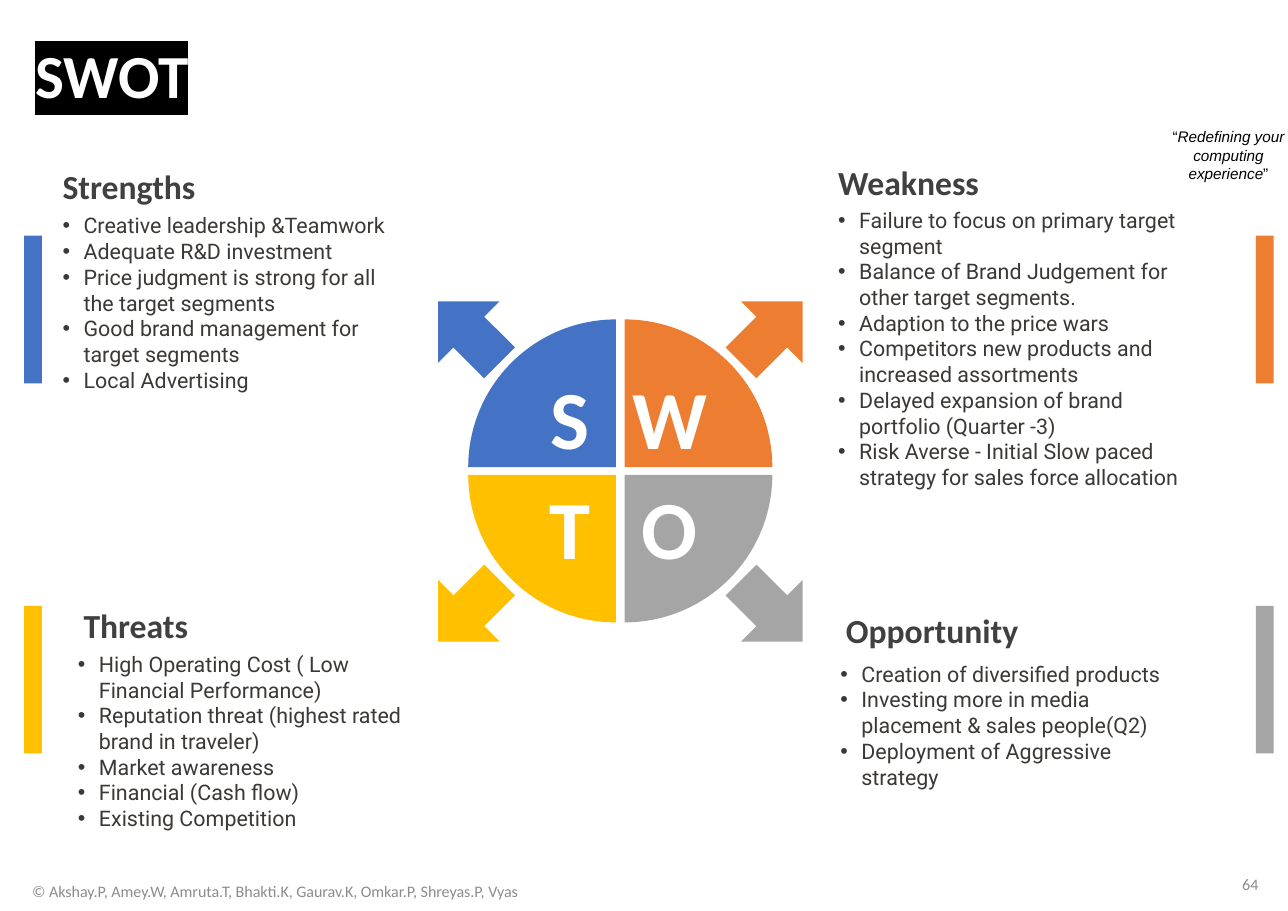
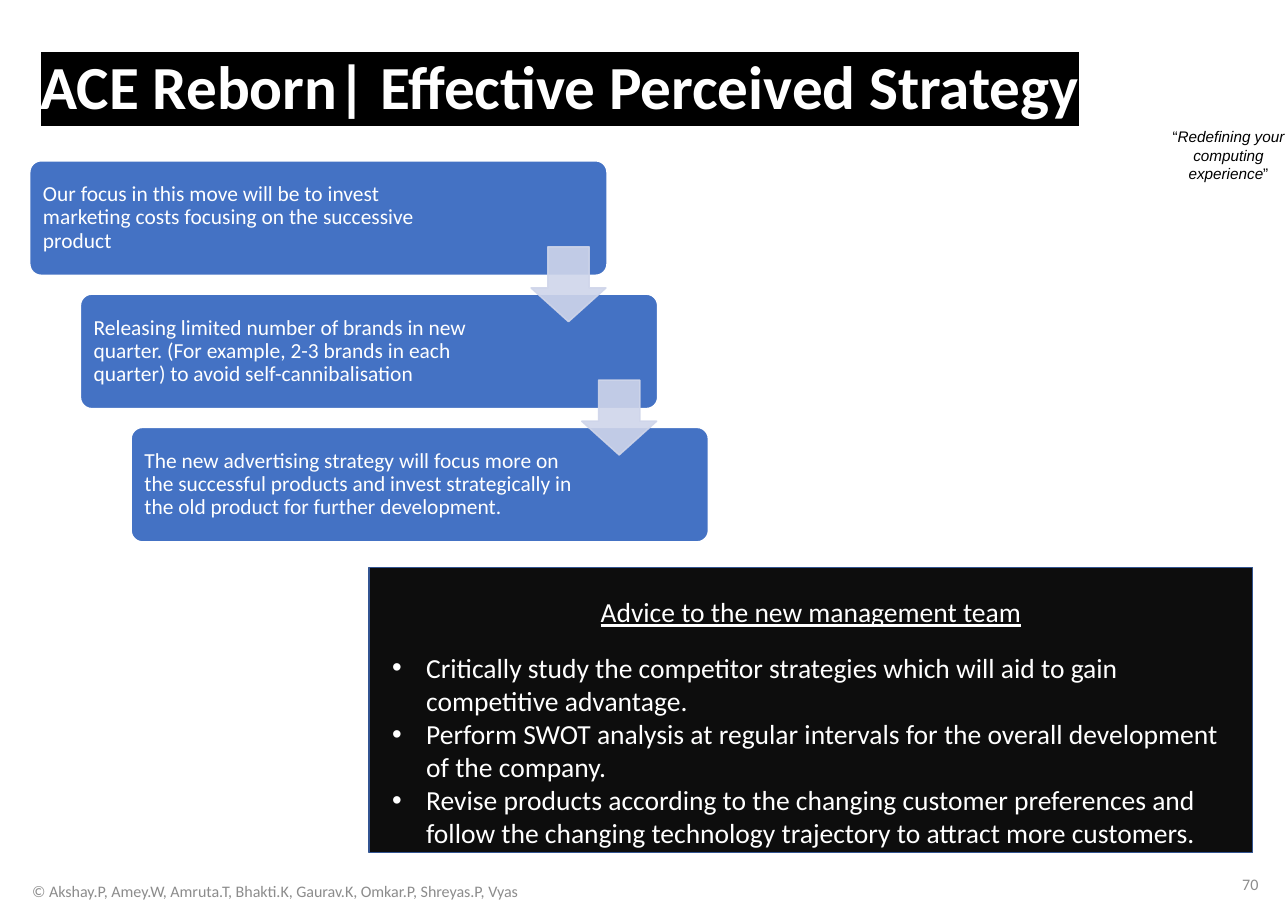
from dataclasses import dataclass

from lxml import etree
from pptx import Presentation
from pptx.dml.color import RGBColor
from pptx.enum.shapes import MSO_SHAPE
from pptx.enum.text import MSO_ANCHOR, PP_ALIGN
from pptx.oxml.ns import qn
from pptx.util import Emu, Inches, Pt

RECTANGLE, ROUNDED = MSO_SHAPE.RECTANGLE, MSO_SHAPE.ROUNDED_RECTANGLE
WEDGE, ARROW = MSO_SHAPE.PIE_WEDGE, MSO_SHAPE.DOWN_ARROW
TOP, MIDDLE = MSO_ANCHOR.TOP, MSO_ANCHOR.MIDDLE
LEFT, CENTER, RIGHT = PP_ALIGN.LEFT, PP_ALIGN.CENTER, PP_ALIGN.RIGHT


@dataclass(frozen=True)
class Theme:
    sans: str = "Calibri"
    body: str = "Roboto"
    tagline: str = "Arial"
    black: str = "000000"
    white: str = "FFFFFF"
    heading: str = "404040"
    ink: str = "3B3835"
    muted: str = "8C8C8C"
    blue: str = "4472C4"
    orange: str = "ED7D31"
    gray: str = "A5A5A5"
    gold: str = "FFC000"
    pale: str = "CFD5EA"
    panel: str = "0D0D0D"
    panel_edge: str = "325491"
    title_size: float = 40
    letter_size: float = 54
    heading_size: float = 22
    advice_size: float = 18
    body_size: float = 14
    footer_size: float = 10.5
    tagline_size: float = 10


THEME = Theme()
WIDTH, HEIGHT = 11.69, 8.27
INSET = (0.1, 0.05, 0.1, 0.05)

TAGLINE = [("“", False), ("Redefining your computing experience", True), ("”", False)]
COPYRIGHT = "© Akshay.P, Amey.W, Amruta.T, Bhakti.K, Gaurav.K, Omkar.P, Shreyas.P, Vyas"

# Clockwise from top left: letter, heading, colour, heading corner, list corner, points
QUADRANTS = [
    ("S", "Strengths", THEME.blue, (0.47, 1.46), (0.47, 1.88), [
        "Creative leadership &Teamwork",
        "Adequate R&D investment",
        "Price judgment is strong for all the target segments",
        "Good brand management for target segments",
        "Local Advertising",
    ]),
    ("W", "Weakness", THEME.orange, (7.51, 1.42), (7.51, 1.83), [
        "Failure to focus on primary target segment",
        "Balance of Brand Judgement for other target segments.",
        "Adaption to the price wars",
        "Competitors new products and increased assortments",
        "Delayed expansion of brand portfolio (Quarter -3)",
        "Risk Averse - Initial Slow paced strategy for sales force allocation",
    ]),
    ("O", "Opportunity", THEME.gray, (7.58, 5.49), (7.53, 5.95), [
        "Creation of diversified products",
        "Investing more in media placement & sales people(Q2)",
        "Deployment of Aggressive strategy",
    ]),
    ("T", "Threats", THEME.gold, (0.66, 5.44), (0.61, 5.86), [
        "High Operating Cost ( Low Financial Performance)",
        "Reputation threat (highest rated brand in traveler)",
        "Market awareness",
        "Financial (Cash flow)",
        "Existing Competition",
    ]),
]

STEPS = [
    "Our focus in this move will be to invest marketing costs focusing on the successive product",
    "Releasing limited number of brands in new quarter. (For example, 2-3 brands in each "
    "quarter) to avoid self-cannibalisation",
    "The new advertising strategy will focus more on the successful products and invest "
    "strategically in the old product for further development.",
]
ADVICE_HEADING = "Advice to the new management team"
ADVICE = [
    "Critically study the competitor strategies which will aid to gain competitive advantage.",
    "Perform SWOT analysis at regular intervals for the overall development of the company.",
    "Revise products according to the changing customer preferences and follow the changing "
    "technology trajectory to attract more customers.",
]


def set_font(font, size, color, face=THEME.sans, bold=False, underline=False):
    font.size, font.name = Pt(size), face
    font.color.rgb = RGBColor.from_string(color)
    font.bold = bold
    if underline:
        font.underline = True


def add_bullet(paragraph, indent):
    properties = paragraph._p.get_or_add_pPr()
    properties.set("marL", str(Inches(indent)))
    properties.set("indent", str(-Inches(indent)))
    etree.SubElement(properties, qn("a:buFont")).set("typeface", "Arial")
    etree.SubElement(properties, qn("a:buChar")).set("char", "•")


def write(shape, lines, size, color, face=THEME.sans, bold=False, underline=False,
          align=LEFT, anchor=TOP, inset=INSET, indent=0, spacing=None):
    """Fill a shape with one paragraph per line; a line is a string or (text, italic) runs."""
    frame = shape.text_frame
    frame.word_wrap, frame.vertical_anchor = True, anchor
    (frame.margin_left, frame.margin_top,
     frame.margin_right, frame.margin_bottom) = map(Inches, inset)
    for number, line in enumerate(lines):
        paragraph = frame.add_paragraph() if number else frame.paragraphs[0]
        if indent:
            add_bullet(paragraph, indent)
        paragraph.alignment = align
        if spacing:
            paragraph.line_spacing = spacing
        set_font(paragraph.font, size, color, face, bold, underline)
        if isinstance(line, str):
            paragraph.add_run().text = line
            continue
        for text, italic in line:
            run = paragraph.add_run()
            run.text, run.font.italic = text, italic


def add_text(slide, at, lines, size, color, **style):
    write(slide.shapes.add_textbox(*map(Inches, at)), lines, size, color, **style)


def add_block(slide, kind, at, fill, line=None, rotation=0, adjust=(), alpha=None):
    block = slide.shapes.add_shape(kind, *map(Inches, at))
    block.shadow.inherit = False
    block.rotation = rotation
    for index, value in enumerate(adjust):
        block.adjustments[index] = value
    paints = [block.fill]
    if line:
        block.line.width = Pt(1)
        block.line.fill.solid()
        block.line.color.rgb = RGBColor.from_string(line)
    else:
        block.line.fill.background()
    for paint in paints:
        paint.solid()
        paint.fore_color.rgb = RGBColor.from_string(fill)
    if alpha:
        for color in block._element.spPr.iter(qn("a:srgbClr")):
            etree.SubElement(color, qn("a:alpha")).set("val", str(alpha * 1000))
    return block


def add_title(slide, text, left, top):
    """White bold title on a black text highlight."""
    box = slide.shapes.add_textbox(*map(Inches, (left, top, 10.16, 0.77)))
    box.text_frame.word_wrap = True
    box.text_frame.vertical_anchor = MIDDLE
    run = box.text_frame.paragraphs[0].add_run()
    run.text = text
    set_font(run.font, THEME.title_size, THEME.white, bold=True)
    highlight = etree.Element(qn("a:highlight"))
    etree.SubElement(highlight, qn("a:srgbClr")).set("val", THEME.black)
    run._r.rPr.find(qn("a:solidFill")).addnext(highlight)


def start_slide(deck, title, left, top, number):
    """Blank slide with the shared title, tagline, copyright line and page number."""
    slide = deck.slides.add_slide(deck.slide_layouts[6])
    add_text(slide, (10.47, 1.11, 1.36, 0.61), [TAGLINE], THEME.tagline_size, THEME.black,
             face=THEME.tagline, align=CENTER)
    add_text(slide, (0, 7.91, 5, 0.36), [COPYRIGHT], THEME.footer_size, THEME.muted,
             align=CENTER, anchor=MIDDLE)
    add_text(slide, (8.89, 7.81, 2.63, 0.44), [str(number)], THEME.footer_size, THEME.muted,
             align=RIGHT, anchor=MIDDLE)
    add_title(slide, title, left, top)
    return slide


def build_swot(deck):
    slide = start_slide(deck, "SWOT", 0.22, 0.29, 64)
    radius, arrow, letter_width, letter_height = 1.34, 0.79, 0.84, 0.91
    wedge_x, wedge_y = (4.25, 5.67), (2.9, 4.31)
    arrow_x, arrow_y = (3.86, 6.61), (2.62, 5.15)
    letter_x, letter_y = (4.75, 5.66), (3.33, 4.32)
    bar_x, bar_y = (0.22, 11.4), (2.14, 5.5)
    for index, (letter, heading, color, heading_at, list_at, points) in enumerate(QUADRANTS):
        column, row = int(index in (1, 2)), index // 2
        turn = 90 * index
        add_block(slide, WEDGE, (wedge_x[column], wedge_y[row], radius, radius), color,
                  rotation=turn)
        add_block(slide, ARROW, (arrow_x[column], arrow_y[row], arrow, arrow), color,
                  rotation=(turn + 135) % 360)
        add_block(slide, RECTANGLE, (bar_x[column], bar_y[row], 0.16, radius), color)
        add_text(slide, (letter_x[column], letter_y[row], letter_width, letter_height),
                 [letter], THEME.letter_size, THEME.white, bold=True, align=CENTER,
                 anchor=MIDDLE, inset=(0, 0, 0, 0))
        add_text(slide, (*list_at, 3.36, 0.35 * len(points) + 0.1), points,
                 THEME.body_size, THEME.ink, face=THEME.body, indent=0.19)
        add_text(slide, (*heading_at, 3.36, 0.47), [heading], THEME.heading_size,
                 THEME.heading, bold=True)


def build_strategy(deck):
    slide = start_slide(deck, "ACE Reborn| Effective Perceived Strategy", 0.27, 0.39, 70)
    card_width, card_height, arrow = 5.24, 1.04, 0.68
    corners = [(0.27 + 0.46 * step, 1.46 + 1.21 * step) for step in range(len(STEPS))]
    for (left, top), text in zip(corners, STEPS):
        card = add_block(slide, ROUNDED, (left, top, card_width, card_height), THEME.blue,
                         line=THEME.white, adjust=(0.1,))
        write(card, [text], THEME.body_size, THEME.white, anchor=MIDDLE,
              inset=(0.09, 0.09, 1.2, 0.09), spacing=0.9)
    for left, top in corners[:-1]:
        add_block(slide, ARROW, (left + 4.55, top + card_height - 0.26, arrow, arrow),
                  THEME.pale, line=THEME.pale, adjust=(0.55, 0.45), alpha=90)
    panel = add_block(slide, RECTANGLE, (3.35, 5.15, 8.02, 2.59), THEME.panel,
                      line=THEME.panel_edge)
    write(panel, [ADVICE_HEADING], THEME.advice_size, THEME.white, underline=True,
          align=CENTER, inset=(0.1, 0.25, 0.1, 0.05))
    add_text(slide, (3.46, 5.86, 7.78, 1.88), ADVICE, THEME.advice_size, THEME.white,
             indent=0.31)


def main():
    deck = Presentation()
    deck.slide_width, deck.slide_height = Emu(Inches(WIDTH)), Emu(Inches(HEIGHT))
    build_swot(deck)
    build_strategy(deck)
    deck.save("out.pptx")


if __name__ == "__main__":
    main()
